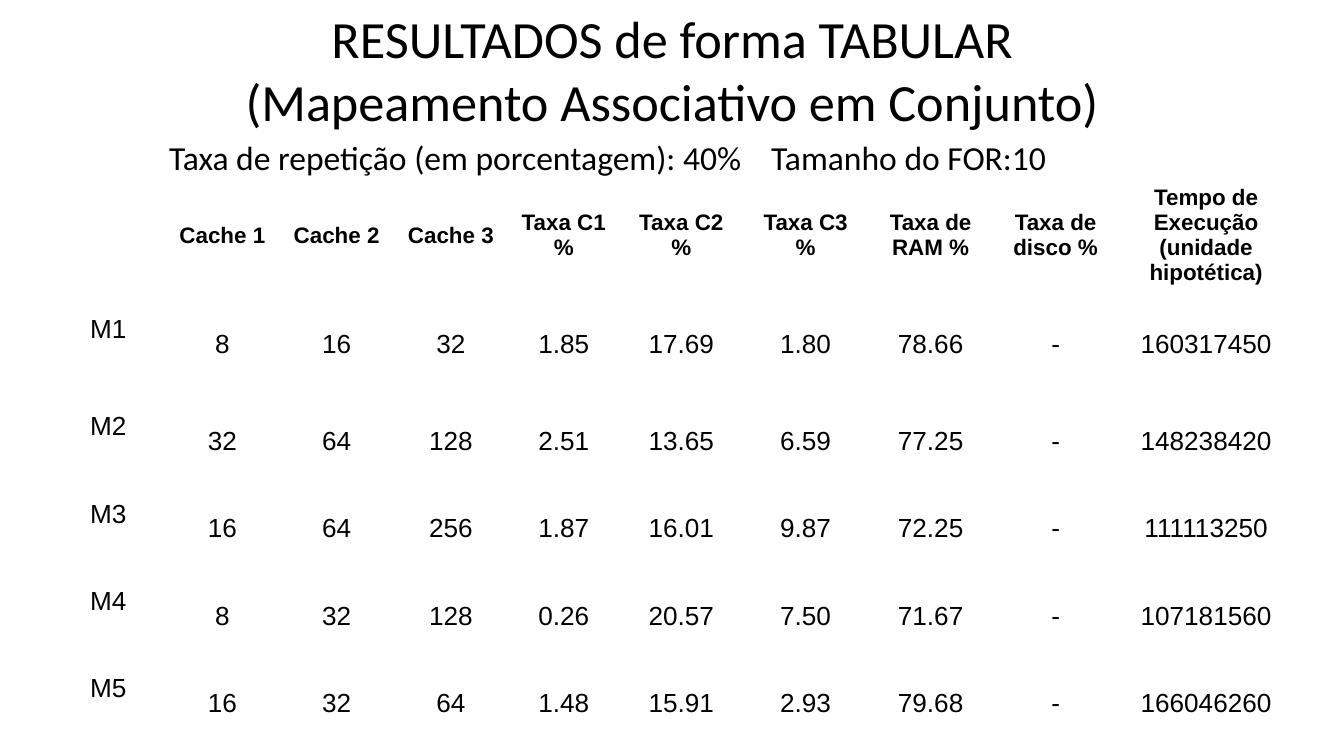
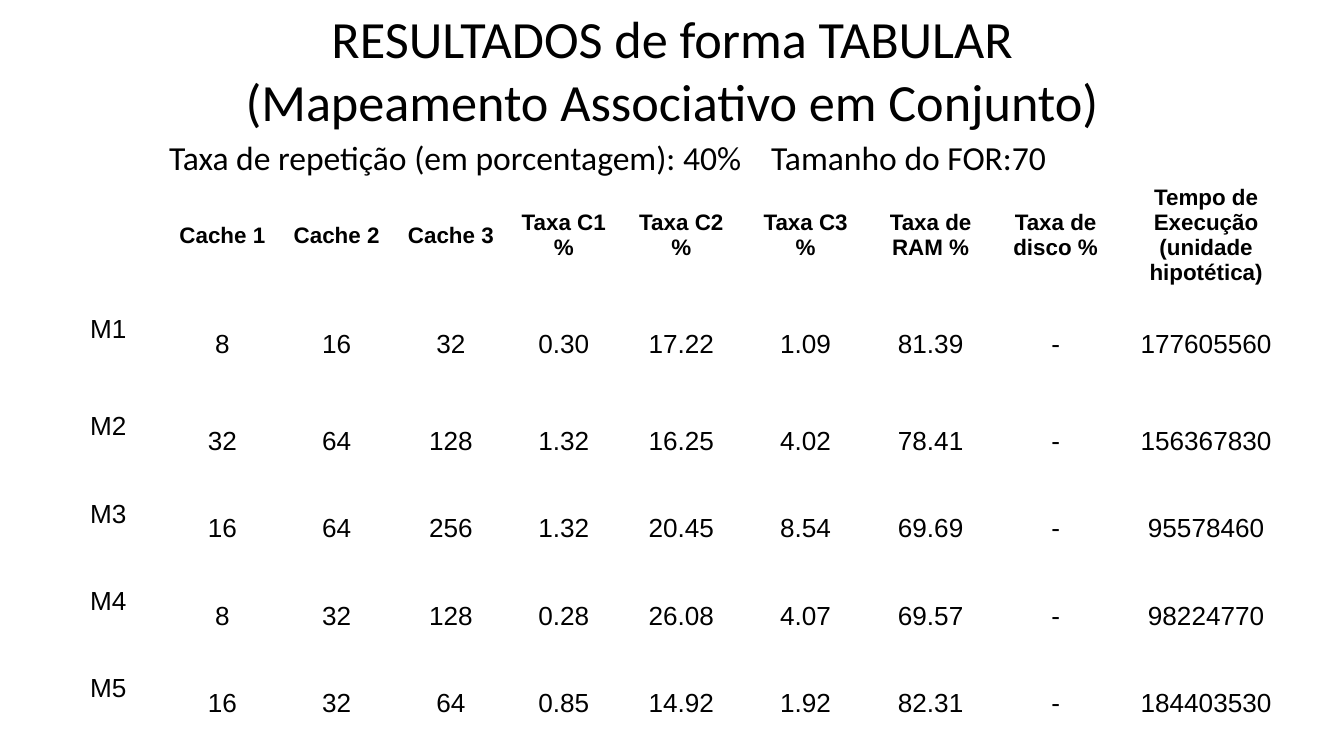
import pptx
import pptx.dml.color
import pptx.enum.text
import pptx.oxml.ns
import pptx.util
from lxml import etree

Inches = pptx.util.Inches
ALIGN = pptx.enum.text.PP_ALIGN
ANCHOR = pptx.enum.text.MSO_ANCHOR
BLACK = "000000"
PLAIN = "{2D5ABB26-0587-4C30-8999-92F81FD0307C}"
TITLE = "RESULTADOS de forma TABULAR\v(Mapeamento Associativo em Conjunto)"
NOTE = "Taxa de repetição (em porcentagem): 40%\tTamanho do FOR:"
HEADS = ["", "Cache 1", "Cache 2", "Cache 3", "Taxa C1\n%", "Taxa C2\n%",
         "Taxa C3\n%", "Taxa de RAM %", "Taxa de disco %",
         "Tempo de Execução\n(unidade hipotética)"]
SETUPS = [["M1", "8", "16", "32"], ["M2", "32", "64", "128"],
          ["M3", "16", "64", "256"], ["M4", "8", "32", "128"],
          ["M5", "16", "32", "64"]]
WIDTHS = [0.85] * 4 + [0.83, 0.92] + [0.93] * 3 + [1.31]
HEIGHTS = [0.73, 0.8] + [0.65] * 4
RUNS = {
    10: [["1.85", "17.69", "1.80", "78.66", "-", "160317450"],
         ["2.51", "13.65", "6.59", "77.25", "-", "148238420"],
         ["1.87", "16.01", "9.87", "72.25", "-", "111113250"],
         ["0.26", "20.57", "7.50", "71.67", "-", "107181560"],
         ["1.48", "15.91", "2.93", "79.68", "-", "166046260"]],
    70: [["0.30", "17.22", "1.09", "81.39", "-", "177605560"],
         ["1.32", "16.25", "4.02", "78.41", "-", "156367830"],
         ["1.32", "20.45", "8.54", "69.69", "-", "95578460"],
         ["0.28", "26.08", "4.07", "69.57", "-", "98224770"],
         ["0.85", "14.92", "1.92", "82.31", "-", "184403530"]],
}


def color(code):
    return pptx.dml.color.RGBColor.from_string(code)


def style(frame, face, size, align, bold=False):
    for para in frame.paragraphs:
        para.alignment = align
        para.font.name = face
        para.font.size = pptx.util.Pt(size)
        para.font.bold = bold
        para.font.color.rgb = color(BLACK)


def add_text(slide, box, text, size, align, anchor, tab=None):
    frame = slide.shapes.add_textbox(*map(Inches, box)).text_frame
    frame.word_wrap = True
    frame.vertical_anchor = anchor
    frame.text = text
    if tab:
        props = frame.paragraphs[0]._p.get_or_add_pPr()
        stops = etree.SubElement(props, pptx.oxml.ns.qn("a:tabLst"))
        etree.SubElement(stops, pptx.oxml.ns.qn("a:tab"),
                         pos=str(Inches(tab)), algn="l")
    style(frame, "Calibri", size, align)


def fill_cell(cell, text, head, label):
    cell.fill.background()
    cell.vertical_anchor = ANCHOR.MIDDLE
    cell.margin_left = cell.margin_right = Inches(0.1)
    cell.margin_top = Inches(0.01 if head else 0.04)
    cell.margin_bottom = cell.margin_top + Inches(0.22 if label else 0)
    cell.text = text
    style(cell.text_frame, "Arial", 12 if head else 14, ALIGN.CENTER, head)


def add_grid(slide, left, top, rows):
    box = map(Inches, (left, top, sum(WIDTHS), sum(HEIGHTS)))
    table = slide.shapes.add_table(len(rows), len(WIDTHS), *box).table
    table.first_row = table.horz_banding = False
    table._tbl.tblPr.find(pptx.oxml.ns.qn("a:tableStyleId")).text = PLAIN
    for col, width in zip(table.columns, WIDTHS):
        col.width = Inches(width)
    for r, (row, height) in enumerate(zip(rows, HEIGHTS)):
        table.rows[r].height = Inches(height)
        for c, text in enumerate(row):
            fill_cell(table.cell(r, c), text, r == 0, r > 0 and c == 0)


def add_result(deck, loop, rates):
    slide = deck.slides.add_slide(deck.slide_layouts[6])
    add_text(slide, (1.02, 0.12, 7.96, 0.79), TITLE, 28, ALIGN.CENTER, ANCHOR.MIDDLE)
    add_text(slide, (1.16, 0.97, 7.68, 0.3), f"{NOTE}{loop}", 18,
             ALIGN.LEFT, ANCHOR.TOP, tab=4.48)
    rows = [setup + rate for setup, rate in zip(SETUPS, rates)]
    add_grid(slide, 0.38, 1.34, [HEADS] + rows)


def main():
    deck = pptx.Presentation()
    deck.slide_width = Inches(10)
    deck.slide_height = deck.slide_width * 9 // 16
    for loop, rates in RUNS.items():
        add_result(deck, loop, rates)
    deck.save("out.pptx")


if __name__ == "__main__":
    main()
